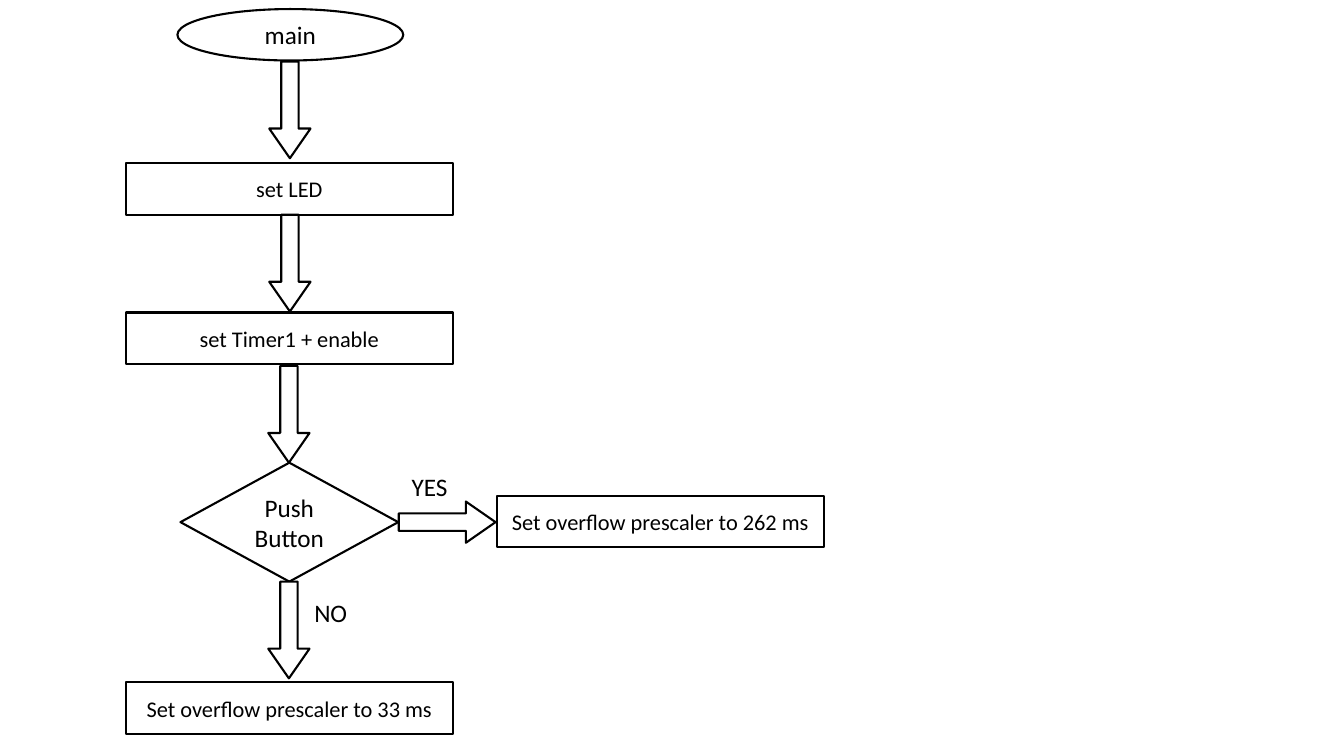
from pptx import Presentation
from pptx.dml.color import RGBColor
from pptx.enum.shapes import MSO_SHAPE
from pptx.enum.text import MSO_ANCHOR, PP_ALIGN
from pptx.util import Inches, Pt

OVAL = MSO_SHAPE.OVAL
BOX = MSO_SHAPE.RECTANGLE
DIAMOND = MSO_SHAPE.DIAMOND
ARROW = MSO_SHAPE.UP_ARROW
MIDDLE = MSO_ANCHOR.MIDDLE
CENTER = PP_ALIGN.CENTER

FONT = "Calibri"
BLACK = "000000"
WHITE = "FFFFFF"
LEFT = 1.25
BOX_W, BOX_H = 3.24, 0.51
ARROW_W, ARROW_H = 0.41, 0.96
RIGHT, DOWN = 90, 180


def color(code):
    """Turn a hex string into a colour."""
    return RGBColor.from_string(code)


def write(frame, text, size):
    """Put one centred run into a text frame."""
    frame.word_wrap = True
    para = frame.paragraphs[0]
    para.alignment = CENTER
    run = para.add_run()
    run.text = text
    run.font.name = FONT
    run.font.size = Pt(size)
    run.font.color.rgb = color(BLACK)


def outline(slide, kind, x, y, w, h):
    """Add a white shape with a black line."""
    shape = slide.shapes.add_shape(kind, Inches(x), Inches(y), Inches(w), Inches(h))
    shape.shadow.inherit = False
    shape.fill.solid()
    shape.fill.fore_color.rgb = color(WHITE)
    shape.line.color.rgb = color(BLACK)
    shape.line.width = Pt(1.5)
    return shape


def node(slide, kind, x, y, w, h, text, size):
    """Add a flowchart step with its text."""
    frame = outline(slide, kind, x, y, w, h).text_frame
    frame.vertical_anchor = MIDDLE
    write(frame, text, size)


def step(slide, x, y, text):
    """Add a process box."""
    node(slide, BOX, x, y, BOX_W, BOX_H, text, 16)


def arrow(slide, x, y, turn):
    """Add a block arrow turned by some degrees."""
    shape = outline(slide, ARROW, x, y, ARROW_W, ARROW_H)
    shape.rotation = turn
    shape.adjustments[0] = 0.42
    shape.adjustments[1] = 0.72


def label(slide, x, y, text):
    """Add the name of a branch."""
    box = slide.shapes.add_textbox(Inches(x), Inches(y), Inches(0.62), Inches(0.4))
    write(box.text_frame, text, 18)


def main():
    """Build the flowchart slide."""
    deck = Presentation()
    deck.slide_width = Inches(13.33)
    deck.slide_height = Inches(7.5)
    slide = deck.slides.add_slide(deck.slide_layouts[6])

    for x, y, text in (
        (LEFT, 1.62, "set LED"),
        (LEFT, 3.1, "set Timer1 + enable"),
        (LEFT, 6.77, "Set overflow prescaler to 33 ms"),
        (4.93, 4.92, "Set overflow prescaler to 262 ms"),
    ):
        step(slide, x, y, text)
    node(slide, OVAL, 1.76, 0.09, 2.24, BOX_H, "main", 18)
    node(slide, DIAMOND, 1.79, 4.59, 2.16, 1.18, "Push Button", 18)

    for x, y in ((2.67, 0.61), (2.67, 2.13), (2.66, 3.63), (2.66, 5.77)):
        arrow(slide, x, y, DOWN)
    arrow(slide, 4.23, 4.7, RIGHT)

    label(slide, 3.95, 4.63, "YES")
    label(slide, 2.97, 5.88, "NO")
    deck.save("out.pptx")


main()
